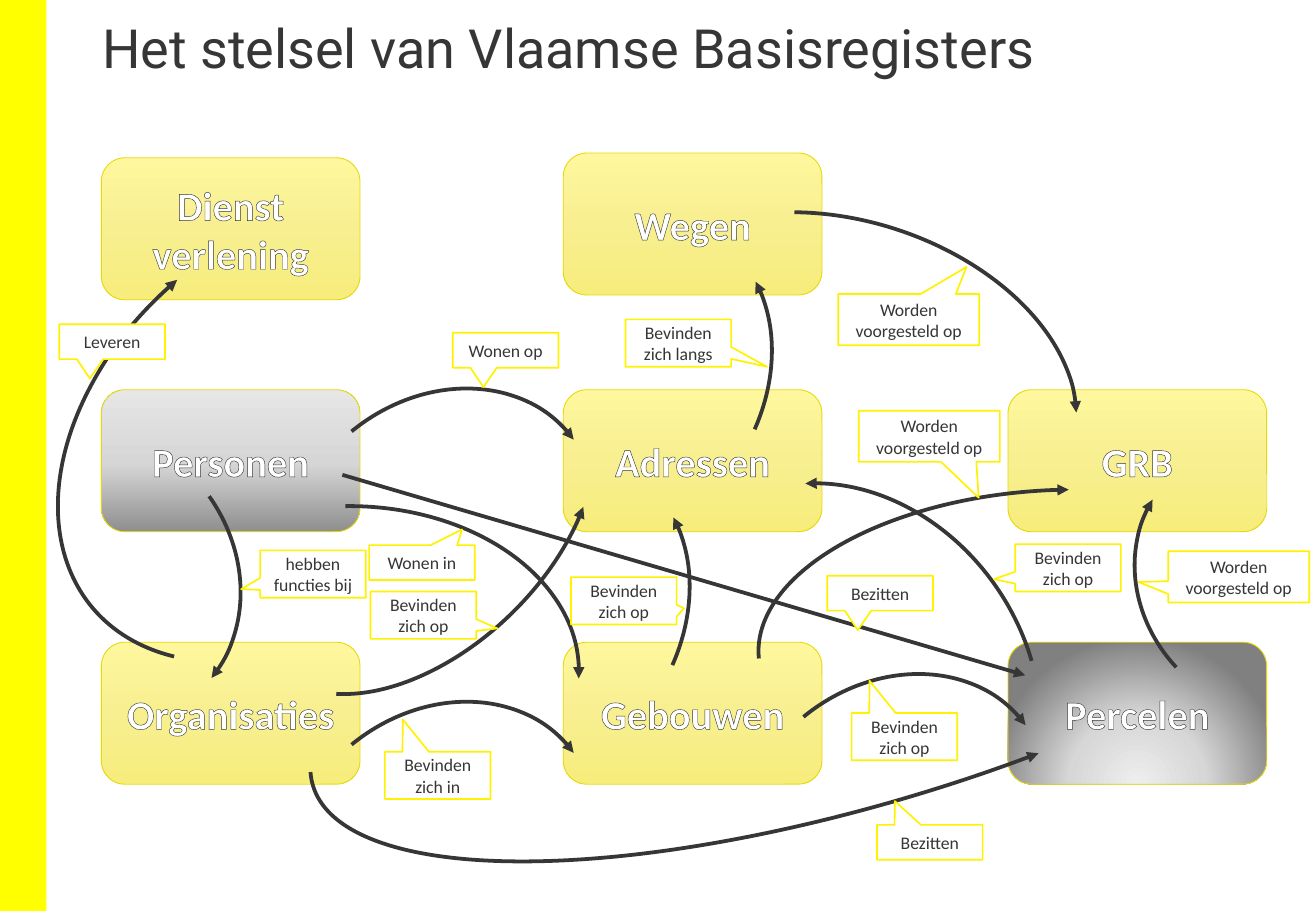
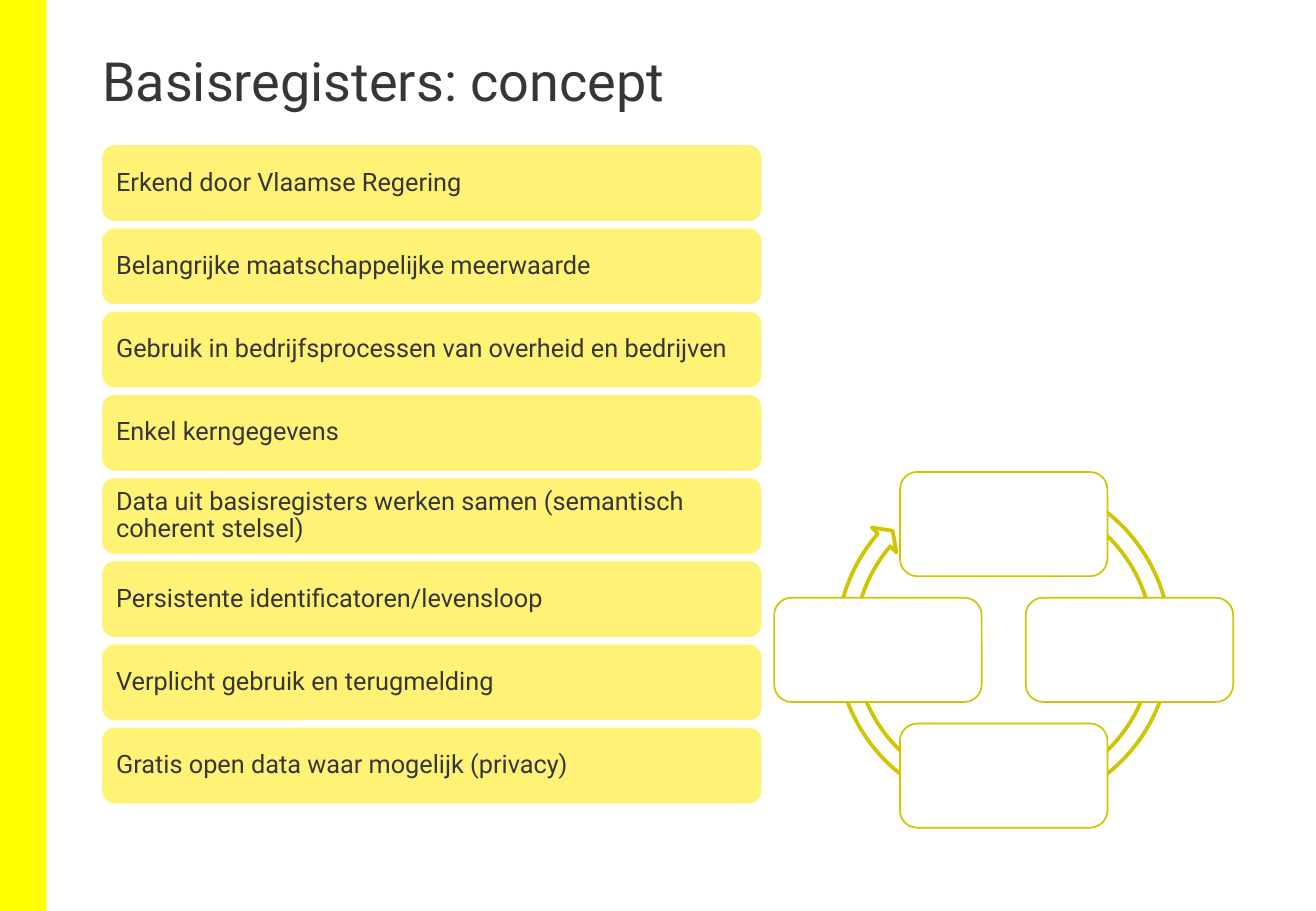
from dataclasses import dataclass

import pptx
import pptx.dml.color
import pptx.enum.shapes
import pptx.enum.text
import pptx.oxml.ns
import pptx.oxml.xmlchemy
import pptx.presentation
import pptx.shapes.autoshape
import pptx.slide
import pptx.text.text
import pptx.util
from lxml import etree

Cm, Pt = pptx.util.Cm, pptx.util.Pt
RGB = pptx.dml.color.RGBColor.from_string
MSO = pptx.enum.shapes.MSO_SHAPE
ALIGN = pptx.enum.text.PP_ALIGN
ANCHOR = pptx.enum.text.MSO_ANCHOR
qn = pptx.oxml.ns.qn


@dataclass(frozen=True)
class Theme:
    text: str = "373636"
    white: str = "FFFFFF"
    band: str = "FFFF00"
    row: str = "FFF275"
    callout: str = "FFF200"
    register: str = "E5DA04"
    cycle: str = "CFC503"
    title_font: str = "Roboto"
    label_font: str = "Calibri"
    title_size: float = 32
    register_size: float = 24
    row_size: float = 15
    callout_size: float = 10.5
    arrow_width: float = 2.25


T = Theme()


@dataclass(frozen=True)
class Gradient:
    stops: tuple[tuple[int, str], ...]
    angle: int | None = None  # None: circular, centred below the shape


YELLOW = Gradient(((0, "FFF79D"), (50, "F7EF90"), (100, "F7ED7C")), 90)
GREY = Gradient(((0, "8F8F8F"), (48, "D6D6D6"), (100, "E6E6E6")), 270)
RADIAL = Gradient(((0, "EEEEEE"), (46, "D7D7D7"), (100, "808080")))


@dataclass(frozen=True)
class Register:
    name: str
    x: float
    y: float
    fill: Gradient = YELLOW


@dataclass(frozen=True)
class Arc:
    x: float
    y: float
    w: float
    h: float
    rotation: float
    start: float
    end: float
    flip: str = "V"


@dataclass(frozen=True)
class Callout:
    text: str
    x: float
    y: float
    size: tuple[float, float]
    tip: tuple[float, float]


LEFT, MIDDLE, RIGHT = 2.12, 11.78, 21.08
UPPER, LOWER = 8.15, 13.43
REGISTERS = (
    Register("Dienst\nverlening", LEFT, 3.3),
    Register("Wegen", MIDDLE, 3.2),
    Register("Personen", LEFT, UPPER, GREY),
    Register("Adressen", MIDDLE, UPPER),
    Register("GRB", RIGHT, UPPER),
    Register("Organisaties", LEFT, LOWER),
    Register("Gebouwen", MIDDLE, LOWER),
    Register("Percelen", RIGHT, LOWER, RADIAL),
)

ARCS = (
    Arc(10.03, 4.39, 5.84, 7.39, 34.7, 172.64, 205.71, ""),
    Arc(8.31, 9.32, 5.84, 7.39, 34.7, 172.64, 205.71, ""),
    Arc(-0.97, 8.71, 5.84, 6.6, 320, 167.27, 212.37),
    Arc(5.99, 8.84, 24.71, 7.85, 342.7, 143.3, 0.83, "HV"),
    Arc(6.3, 7.8, 5.84, 6.93, 231.6, 161, 0.83),
    Arc(15.75, 13.77, 5.84, 6.93, 231.6, 161, 0.83),
    Arc(6.3, 14.35, 5.84, 6.93, 231.6, 161, 0.83),
    Arc(4.57, 8.41, 8.59, 5.18, 316.1, 130.25, 204.88, "HV"),
    Arc(23.9, 9.07, 5.49, 6.1, 132.1, 167.27, 212.37),
    Arc(15.85, 10.26, 12.04, 6.1, 176.1, 154.35, 0.29),
    Arc(3.84, 9.25, 6.93, 9.6, 270, 161, 0.83),
    Arc(14.43, 2.95, 6.53, 9.88, 287.5, 167.27, 20.95),
    Arc(14.05, 9.86, 7.44, 9.04, 145.1, 175.58, 15.9, "HV"),
    Arc(0.56, 4.85, 11.66, 8.2, 139.8, 162.44, 11.93),
)

ONE_LINE, TWO_LINES, WIDE = (2.21, 0.73), (2.21, 0.99), (2.95, 1.07)
BELOW, ABOVE = (-0.21, 1.06), (-0.33, -1.18)
CALLOUTS = (
    Callout("Leveren", 1.24, 6.78, ONE_LINE, BELOW),
    Callout("Wonen op", 9.47, 6.96, ONE_LINE, BELOW),
    Callout("Wonen in", 7.72, 11.4, ONE_LINE, (0.38, -0.95)),
    Callout("Bezitten", 17.3, 12.04, ONE_LINE, BELOW),
    Callout("Bezitten", 18.34, 17.25, ONE_LINE, ABOVE),
    Callout("hebben functies bij", 5.44, 11.51, TWO_LINES, (-0.68, 0.32)),
    Callout("Bevinden zich langs", 13.08, 6.68, TWO_LINES, (0.84, 0.5)),
    Callout("Bevinden zich in", 8.05, 15.72, TWO_LINES, ABOVE),
    Callout("Bevinden zich op", 17.81, 14.91, TWO_LINES, ABOVE),
    Callout("Bevinden zich op", 7.75, 12.37, TWO_LINES, (0.7, 0.28)),
    Callout("Bevinden zich op", 11.94, 12.07, TWO_LINES, (0.57, 0.16)),
    Callout("Bevinden zich op", 21.23, 11.38, TWO_LINES, (-0.7, 0.24)),
    Callout("Worden voorgesteld op", 17.53, 6.15, WIDE, (0.41, -1.03)),
    Callout("Worden voorgesteld op", 17.96, 8.59, WIDE, (0.35, 1.2)),
    Callout("Worden voorgesteld op", 24.43, 11.53, WIDE, (-0.71, 0.1)),
)

CONCEPTS = (
    "Erkend door Vlaamse Regering",
    "Belangrijke maatschappelijke meerwaarde",
    "Gebruik in bedrijfsprocessen van overheid en bedrijven",
    "Enkel kerngegevens",
    "Data uit basisregisters werken samen (semantisch coherent stelsel)",
    "Persistente identificatoren/levensloop",
    "Verplicht gebruik en terugmelding",
    "Gratis open data waar mogelijk (privacy)",
)


def add_shape(s: pptx.slide.Slide, kind: MSO, x: float, y: float, w: float, h: float,
              fill: str | None = None, line: str | None = None,
              width: float = 1) -> pptx.shapes.autoshape.Shape:
    sp = s.shapes.add_shape(kind, Cm(x), Cm(y), Cm(w), Cm(h))
    sp.shadow.inherit = False
    if fill:
        sp.fill.solid()
        sp.fill.fore_color.rgb = RGB(fill)
    else:
        sp.fill.background()
    if line:
        sp.line.color.rgb = RGB(line)
        sp.line.width = Pt(width)
    else:
        sp.line.fill.background()
    return sp


def set_adjustments(sp: pptx.shapes.autoshape.Shape, *values: float) -> None:
    for i, value in enumerate(values):
        sp.adjustments[i] = value


def add_run(p: pptx.text.text._Paragraph, text: str, font: str, size: float,
            color: str = T.text) -> pptx.text.text._Run:
    r = p.add_run()
    r.text = text
    r.font.name, r.font.size = font, Pt(size)
    r.font.color.rgb = RGB(color)
    return r


def set_gradient(sp: pptx.shapes.autoshape.Shape, gradient: Gradient) -> None:
    """Replace the empty fill of a shape by a gradient of any number of stops."""
    fill = etree.Element(qn("a:gradFill"), rotWithShape="1")
    stops = etree.SubElement(fill, qn("a:gsLst"))
    for pos, color in gradient.stops:
        gs = etree.SubElement(stops, qn("a:gs"), pos=str(pos * 1000))
        etree.SubElement(gs, qn("a:srgbClr"), val=color)
    if gradient.angle is None:
        circle = etree.SubElement(fill, qn("a:path"), path="circle")
        etree.SubElement(circle, qn("a:fillToRect"), l="50000", t="130000",
                         r="50000", b="-30000")
    else:
        etree.SubElement(fill, qn("a:lin"), ang=str(gradient.angle * 60000), scaled="0")
    spPr = sp.element.spPr
    spPr.replace(spPr.find(qn("a:noFill")), fill)


def outline_run(r: pptx.text.text._Run) -> None:
    ln = etree.Element(qn("a:ln"), w=str(Pt(0.52)))
    fill = etree.SubElement(ln, qn("a:solidFill"))
    etree.SubElement(fill, qn("a:srgbClr"), val=T.text)
    r.font._element.insert(0, ln)


def add_arrowhead(spPr: pptx.oxml.xmlchemy.BaseOxmlElement, end: str) -> None:
    etree.SubElement(spPr.find(qn("a:ln")), qn(f"a:{end}"), type="triangle")


def add_slide(prs: pptx.presentation.Presentation, title: str, y: float) -> pptx.slide.Slide:
    """Add a slide with the yellow side band and a title at height y."""
    s = prs.slides.add_slide(prs.slide_layouts[5])
    add_shape(s, MSO.RECTANGLE, 0, 0, 0.97, 19.05, T.band)
    sp = s.shapes.title
    sp.left, sp.top, sp.width, sp.height = Cm(1.88), Cm(y), Cm(23.72), Cm(2.74)
    tf = sp.text_frame
    tf.vertical_anchor = ANCHOR.TOP
    p = tf.paragraphs[0]
    p.alignment, p.line_spacing = ALIGN.LEFT, 0.9
    add_run(p, title, T.title_font, T.title_size)
    return s


def add_register(s: pptx.slide.Slide, register: Register) -> None:
    sp = add_shape(s, MSO.ROUNDED_RECTANGLE, register.x, register.y, 5.41, 2.97,
                   line=T.register, width=0.5)
    set_gradient(sp, register.fill)
    p = sp.text_frame.paragraphs[0]
    p.alignment = ALIGN.CENTER
    for i, text in enumerate(register.name.split("\n")):
        if i:
            p.add_line_break()
        r = add_run(p, text, T.label_font, T.register_size, T.white)
        r.font.bold = True
        outline_run(r)


def add_arc(s: pptx.slide.Slide, arc: Arc) -> None:
    sp = add_shape(s, MSO.ARC, arc.x, arc.y, arc.w, arc.h,
                   line=T.text, width=T.arrow_width)
    set_adjustments(sp, arc.start, arc.end)
    sp.rotation = arc.rotation
    for axis in arc.flip:
        sp.element.spPr.find(qn("a:xfrm")).set(f"flip{axis}", "1")
    add_arrowhead(sp.element.spPr, "headEnd")


def add_straight_arrow(s: pptx.slide.Slide, x1: float, y1: float, x2: float, y2: float) -> None:
    cx = s.shapes.add_connector(pptx.enum.shapes.MSO_CONNECTOR.STRAIGHT,
                                Cm(x1), Cm(y1), Cm(x2), Cm(y2))
    cx.line.color.rgb = RGB(T.text)
    cx.line.width = Pt(T.arrow_width)
    spPr = cx.element.spPr
    add_arrowhead(spPr, "tailEnd")
    etree.SubElement(spPr, qn("a:effectLst"))


def add_callout(s: pptx.slide.Slide, callout: Callout) -> None:
    sp = add_shape(s, MSO.RECTANGULAR_CALLOUT, callout.x, callout.y, *callout.size,
                   T.white, T.callout)
    set_adjustments(sp, *callout.tip)
    p = sp.text_frame.paragraphs[0]
    p.alignment = ALIGN.CENTER
    add_run(p, callout.text, T.label_font, T.callout_size)


def add_concept(s: pptx.slide.Slide, text: str, y: float) -> None:
    sp = add_shape(s, MSO.ROUNDED_RECTANGLE, 2.12, y, 13.82, 1.62, T.row, T.white)
    tf = sp.text_frame
    tf.margin_left = tf.margin_right = tf.margin_top = tf.margin_bottom = Cm(0.23)
    p = tf.paragraphs[0]
    p.alignment, p.line_spacing = ALIGN.LEFT, 0.9
    add_run(p, text, T.title_font, T.row_size)


def add_cycle(s: pptx.slide.Slide, cx: float, cy: float) -> None:
    """Draw a circular arrow with four empty nodes around (cx, cy)."""
    w, h, step, ring = 4.34, 2.18, 2.63, 7.34
    sp = add_shape(s, MSO.CIRCULAR_ARROW, cx - ring / 2, cy - 0.14 - ring / 2, ring, ring,
                   T.white, T.cycle, T.arrow_width)
    set_adjustments(sp, 0.05, 2.73, 132.47, 177.54, 0.05)
    for dx, dy in ((0, -1), (1, 0), (0, 1), (-1, 0)):
        add_shape(s, MSO.ROUNDED_RECTANGLE, cx + dx * step - w / 2, cy + dy * step - h / 2,
                  w, h, T.white, T.cycle)


def main() -> None:
    prs = pptx.Presentation()
    prs.slide_width, prs.slide_height = Cm(27.52), Cm(19.05)

    s = add_slide(prs, "Het stelsel van Vlaamse Basisregisters", 0.33)
    for register in REGISTERS:
        add_register(s, register)
    add_straight_arrow(s, 7.16, 9.93, 21.44, 14.12)
    for arc in ARCS:
        add_arc(s, arc)
    for callout in CALLOUTS:
        add_callout(s, callout)

    s = add_slide(prs, "Basisregisters: concept", 1.02)
    for i, text in enumerate(CONCEPTS):
        add_concept(s, text, 3.02 + i * 1.74)
    add_cycle(s, 20.99, 13.59)

    prs.save("out.pptx")


if __name__ == "__main__":
    main()
